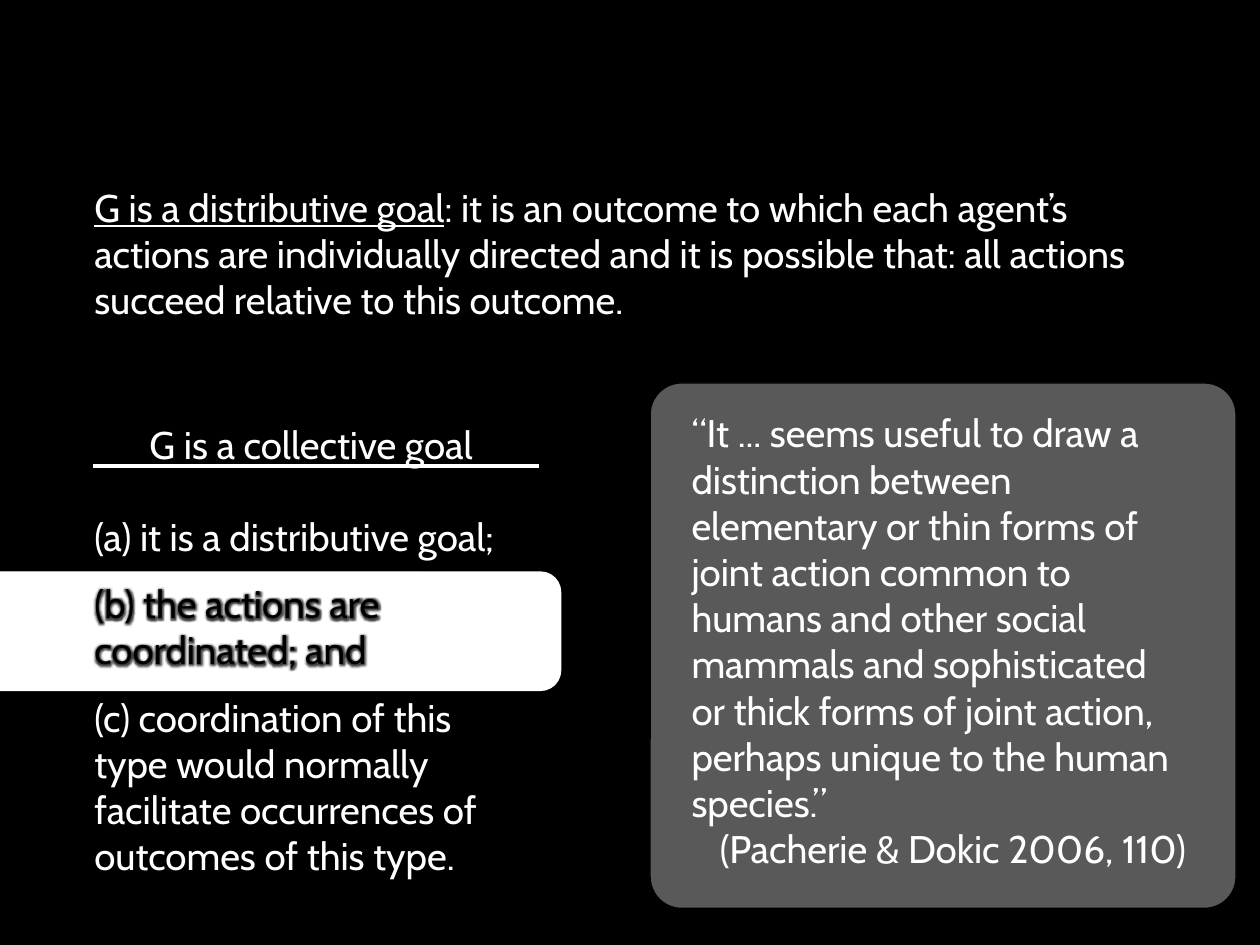
from lxml.etree import SubElement
from pptx import Presentation
from pptx.dml.color import RGBColor
from pptx.enum.shapes import MSO_CONNECTOR, MSO_SHAPE
from pptx.enum.text import MSO_ANCHOR, MSO_AUTO_SIZE, PP_ALIGN as Align
from pptx.oxml import parse_xml
from pptx.oxml.ns import qn
from pptx.util import Inches, Pt

WHITE, BLACK, GREY = "FFFFFF", "000000", "595959"
SIZE, LINE_HEIGHT = 22, 26.5
DRAWING_NS = "http://schemas.openxmlformats.org/drawingml/2006/main"

distributive = [
    ({}, [("G is a distributive goal", {"underline": True}),
          (": it is an outcome to which each agent’s actions are individually directed "
           "and it is possible that: all actions succeed relative to this outcome.", {})]),
]
clause = {"space_after": Pt(12)}
collective = [
    ({"alignment": Align.CENTER, "space_after": Pt(LINE_HEIGHT)}, [("G is a collective goal", {})]),
    (clause, [("(a) it is a distributive goal;", {})]),
    (clause, [("(b) the actions are coordinated; and", {"color": BLACK})]),
    (clause, [("(c) coordination of this type would normally facilitate occurrences "
               "of outcomes of this type.", {})]),
]
quotation = [
    ({}, [("“It ... seems useful to draw a distinction between elementary or thin forms of "
           "joint action common to humans and other social mammals and sophisticated or thick "
           "forms of joint action, perhaps unique to the human species.”", {})]),
    ({"alignment": Align.RIGHT}, [("(Pacherie & Dokic 2006, 110)", {})]),
]

panels = [
    ((51.6, 40.53, 46.5, 55.6), GREY, BLACK, 0.06),
    ((-3.5, 60.53, 48, 12.53), WHITE, WHITE, 0.17),
]
texts = [
    ((6.5, 43.85, 36.4, 50.27), collective, True),
    ((6.5, 18.8, 86.8, 16.13), distributive, False),
    ((53.9, 42.67, 41.2, 50.67), quotation, False),
]
heading_rule = (7.4, 49.33, 42.8, 49.33)

deck = Presentation()
deck.slide_width, deck.slide_height = Inches(10), Inches(7.5)
slide = deck.slides.add_slide(deck.slide_layouts[6])


def rgb(value):
    return RGBColor.from_string(value)


def place(shares):
    sides = (deck.slide_width, deck.slide_height) * 2
    return [round(side * share / 100) for side, share in zip(sides, shares)]


def assign(target, values):
    for key, value in values.items():
        setattr(target, key, value)


def add_panel(shares, fill, outline, corner):
    panel = slide.shapes.add_shape(MSO_SHAPE.ROUNDED_RECTANGLE, *place(shares))
    panel.adjustments[0] = corner
    panel.shadow.inherit = False
    panel.fill.solid()
    panel.fill.fore_color.rgb = rgb(fill)
    panel.line.color.rgb = rgb(outline)
    panel.line.width = Pt(0.75)


def add_glow(run):
    glow = parse_xml(
        f'<a:effectLst xmlns:a="{DRAWING_NS}"><a:glow rad="63500">'
        '<a:srgbClr val="000000"><a:alpha val="75000"/></a:srgbClr></a:glow></a:effectLst>')
    run.font._element.find(qn("a:solidFill")).addnext(glow)


def add_text(shares, paragraphs, glowing):
    frame = slide.shapes.add_textbox(*place(shares)).text_frame
    assign(frame, {"word_wrap": True, "auto_size": MSO_AUTO_SIZE.SHAPE_TO_FIT_TEXT,
                   "vertical_anchor": MSO_ANCHOR.TOP})
    for index, (layout, runs) in enumerate(paragraphs):
        paragraph = frame.add_paragraph() if index else frame.paragraphs[0]
        assign(paragraph, layout)
        for words, look in runs:
            run = paragraph.add_run()
            run.text = words
            style = {"name": "Cabin", "size": Pt(SIZE), **look}
            run.font.color.rgb = rgb(style.pop("color", WHITE))
            assign(run.font, style)
            if glowing:
                add_glow(run)


slide.background.fill.solid()
slide.background.fill.fore_color.rgb = rgb(BLACK)
for panel in panels:
    add_panel(*panel)
for text in texts:
    add_text(*text)

underline = slide.shapes.add_connector(MSO_CONNECTOR.STRAIGHT, *place(heading_rule))
underline.line.color.rgb = rgb(WHITE)
underline.line.width = Pt(2.25)
SubElement(underline._element.spPr, qn("a:effectLst"))

deck.save("out.pptx")
